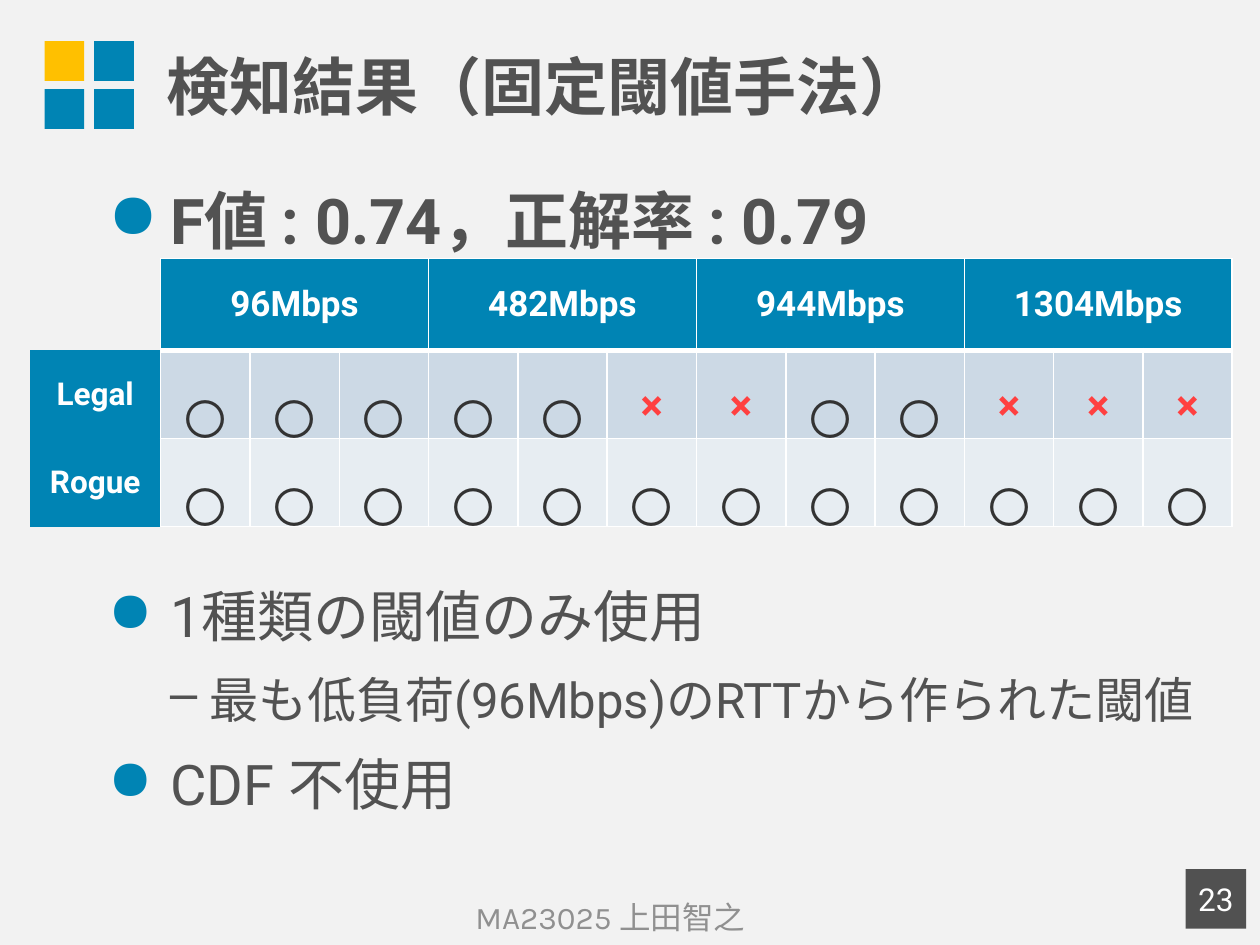
from dataclasses import dataclass

from lxml.etree import SubElement
from pptx import Presentation
from pptx.dml.color import RGBColor
from pptx.enum.shapes import MSO_SHAPE
from pptx.enum.text import MSO_ANCHOR, PP_ALIGN
from pptx.oxml.ns import qn
from pptx.util import Cm, Pt


@dataclass(frozen=True)
class Theme:
    background: str = "F2F2F2"
    accent: str = "0084B4"
    highlight: str = "FFC000"
    text: str = "525252"
    footer: str = "909090"
    badge: str = "515151"
    white: str = "FFFFFF"
    detected: str = "333333"
    missed: str = "FF4040"
    legal_band: str = "CCD9E5"
    rogue_band: str = "E7EDF2"
    font: str = "Roboto"
    footer_font: str = "Karla"
    title_size: int = 36
    point_size: int = 32
    detail_size: int = 28
    mark_size: int = 24
    speed_size: int = 20
    small_size: int = 18


theme = Theme()


def write(paragraph, text, size, color, bold=False, font=theme.font, align=PP_ALIGN.LEFT):
    paragraph.alignment = align
    run = paragraph.add_run()
    run.text = text
    run.font.size = Pt(size)
    run.font.name = font
    run.font.bold = bold
    run.font.color.rgb = RGBColor.from_string(color)


def style_cell(cell, fill, bottom=1, bordered=True):
    properties = cell._tc.get_or_add_tcPr()
    for side, width in (("L", 1), ("R", 1), ("T", 1), ("B", bottom)):
        line = SubElement(properties, qn(f"a:ln{side}"), w=str(Pt(width)))
        if bordered:
            SubElement(SubElement(line, qn("a:solidFill")), qn("a:srgbClr"), val=theme.white)
        else:
            SubElement(line, qn("a:noFill"))
    if fill:
        cell.fill.solid()
        cell.fill.fore_color.rgb = RGBColor.from_string(fill)
    else:
        cell.fill.background()


prs = Presentation()
prs.slide_width, prs.slide_height = Cm(25.4), Cm(19.05)
slide = prs.slides.add_slide(prs.slide_layouts[6])
slide.background.fill.solid()
slide.background.fill.fore_color.rgb = RGBColor.from_string(theme.background)

for row in range(2):
    for column in range(2):
        tile = slide.shapes.add_shape(
            MSO_SHAPE.RECTANGLE, Cm(0.9 + column), Cm(0.83 + 0.97 * row), Cm(0.8), Cm(0.8)
        )
        tile.shadow.inherit = False
        tile.fill.solid()
        tile.fill.fore_color.rgb = RGBColor.from_string(
            theme.highlight if row == column == 0 else theme.accent
        )
        tile.line.fill.background()

title = slide.shapes.add_textbox(Cm(3.1), Cm(0.13), Cm(22.3), Cm(3.18)).text_frame
title.word_wrap = True
title.vertical_anchor = MSO_ANCHOR.MIDDLE
write(title.paragraphs[0], "検知結果（固定閾値手法）", theme.title_size, theme.text, True)

bullet_groups = [
    (3.53, 1.7, [("F値 : 0.74，正解率 : 0.79", theme.title_size, True, 0)]),
    (11.6, 6.4, [
        ("1種類の閾値のみ使用", theme.point_size, False, 0),
        ("最も低負荷(96Mbps)のRTTから作られた閾値", theme.detail_size, False, 1),
        ("CDF 不使用", theme.point_size, False, 0),
    ]),
]
bullet_levels = [
    ("●", theme.accent, Cm(1.25), Cm(-1.25)),
    ("–", theme.text, Cm(2.05), Cm(-0.8)),
]
for top, height, points in bullet_groups:
    body = slide.shapes.add_textbox(Cm(1.93), Cm(top), Cm(23.24), Cm(height)).text_frame
    body.word_wrap = True
    for index, (text, size, bold, level) in enumerate(points):
        point = body.add_paragraph() if index else body.paragraphs[0]
        point.level = level
        point.space_before = Pt(12 if index else 0)
        write(point, text, size, theme.text, bold)
        bullet, bullet_color, margin, indent = bullet_levels[level]
        properties = point._p.get_or_add_pPr()
        properties.set("marL", str(margin))
        properties.set("indent", str(indent))
        SubElement(SubElement(properties, qn("a:buClr")), qn("a:srgbClr"), val=bullet_color)
        SubElement(properties, qn("a:buChar"), char=bullet)

footer = slide.shapes.add_textbox(Cm(0.89), Cm(17.98), Cm(22.83), Cm(1.02)).text_frame
footer.word_wrap = True
footer.vertical_anchor = MSO_ANCHOR.MIDDLE
write(footer.paragraphs[0], "MA23025 上田智之", theme.small_size, theme.footer,
      font=theme.footer_font, align=PP_ALIGN.CENTER)

page_badge = slide.shapes.add_shape(
    MSO_SHAPE.RECTANGLE, Cm(23.9), Cm(17.52), Cm(1.22), Cm(1.2)
)
page_badge.shadow.inherit = False
page_badge.fill.solid()
page_badge.fill.fore_color.rgb = RGBColor.from_string(theme.badge)
page_badge.line.fill.background()
page_badge.text_frame.vertical_anchor = MSO_ANCHOR.MIDDLE
write(page_badge.text_frame.paragraphs[0], "23", theme.small_size, theme.white,
      align=PP_ALIGN.CENTER)

speeds = ["96Mbps", "482Mbps", "944Mbps", "1304Mbps"]
results = [
    ("Legal", "〇〇〇〇〇××〇〇×××", theme.legal_band),
    ("Rogue", "〇" * 12, theme.rogue_band),
]
detection = slide.shapes.add_table(3, 13, Cm(0.6), Cm(5.21), Cm(24.24), Cm(5.35)).table
detection.horz_banding = False
for index, column in enumerate(detection.columns):
    column.width = Cm(1.8 if index else 2.64)
for index, row in enumerate(detection.rows):
    row.height = Cm(1.75 if index else 1.85)

style_cell(detection.cell(0, 0), None, bordered=False)
for index, speed in enumerate(speeds):
    first = 1 + 3 * index
    for column in range(first, first + 3):
        style_cell(detection.cell(0, column), theme.accent, bottom=3)
    heading = detection.cell(0, first)
    heading.merge(detection.cell(0, first + 2))
    heading.vertical_anchor = MSO_ANCHOR.MIDDLE
    write(heading.text_frame.paragraphs[0], speed, theme.speed_size, theme.white, True,
          align=PP_ALIGN.CENTER)

for row, (label, marks, band) in enumerate(results, 1):
    label_cell = detection.cell(row, 0)
    style_cell(label_cell, theme.accent, bordered=False)
    label_cell.vertical_anchor = MSO_ANCHOR.MIDDLE
    write(label_cell.text_frame.paragraphs[0], label, theme.small_size, theme.white, True,
          align=PP_ALIGN.CENTER)
    for column, mark in enumerate(marks, 1):
        mark_cell = detection.cell(row, column)
        style_cell(mark_cell, band)
        result = mark_cell.text_frame.paragraphs[0]
        result.line_spacing = 1.5
        missed = mark == "×"
        write(result, mark, theme.mark_size, theme.missed if missed else theme.detected,
              missed, align=PP_ALIGN.CENTER)

prs.save("out.pptx")
